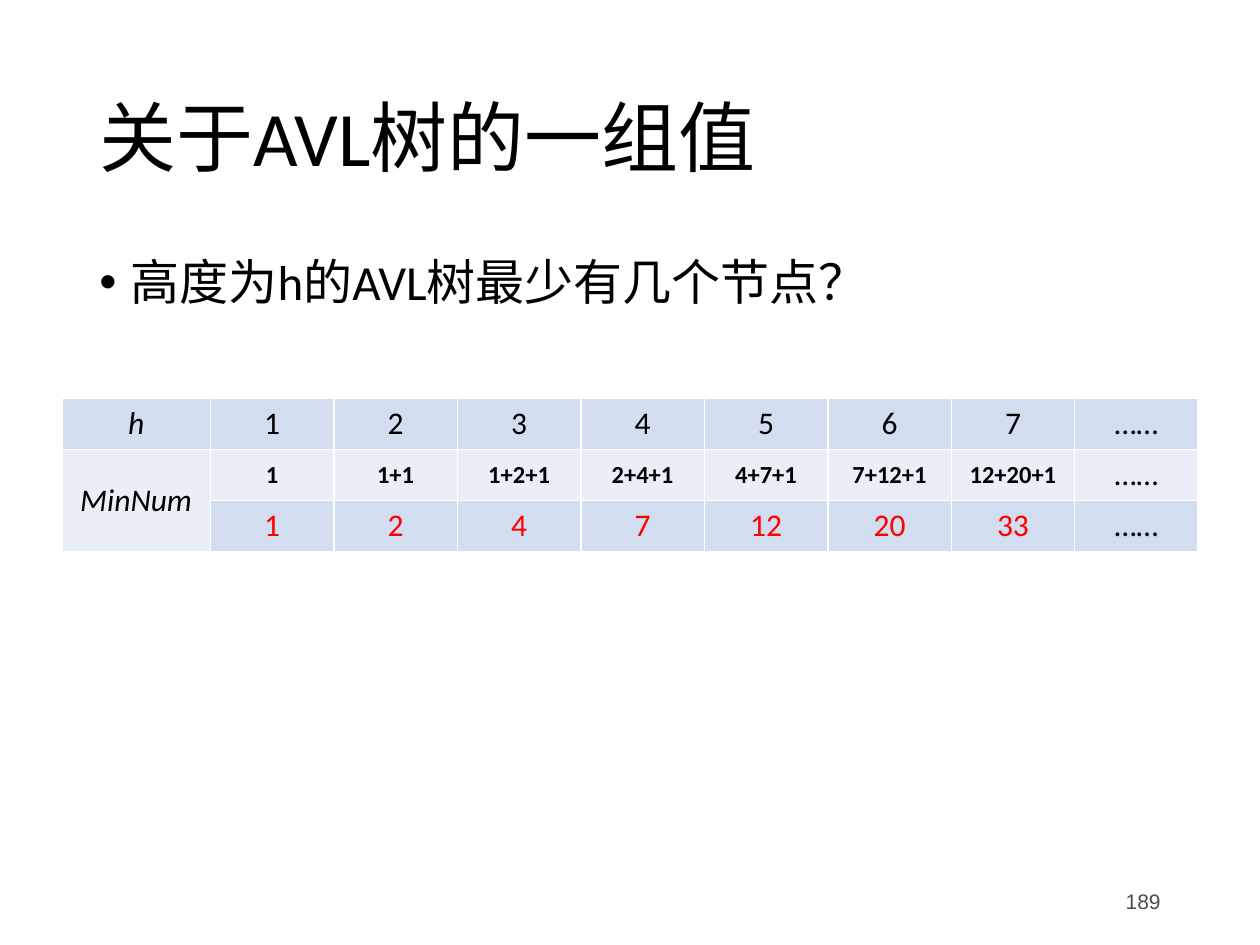
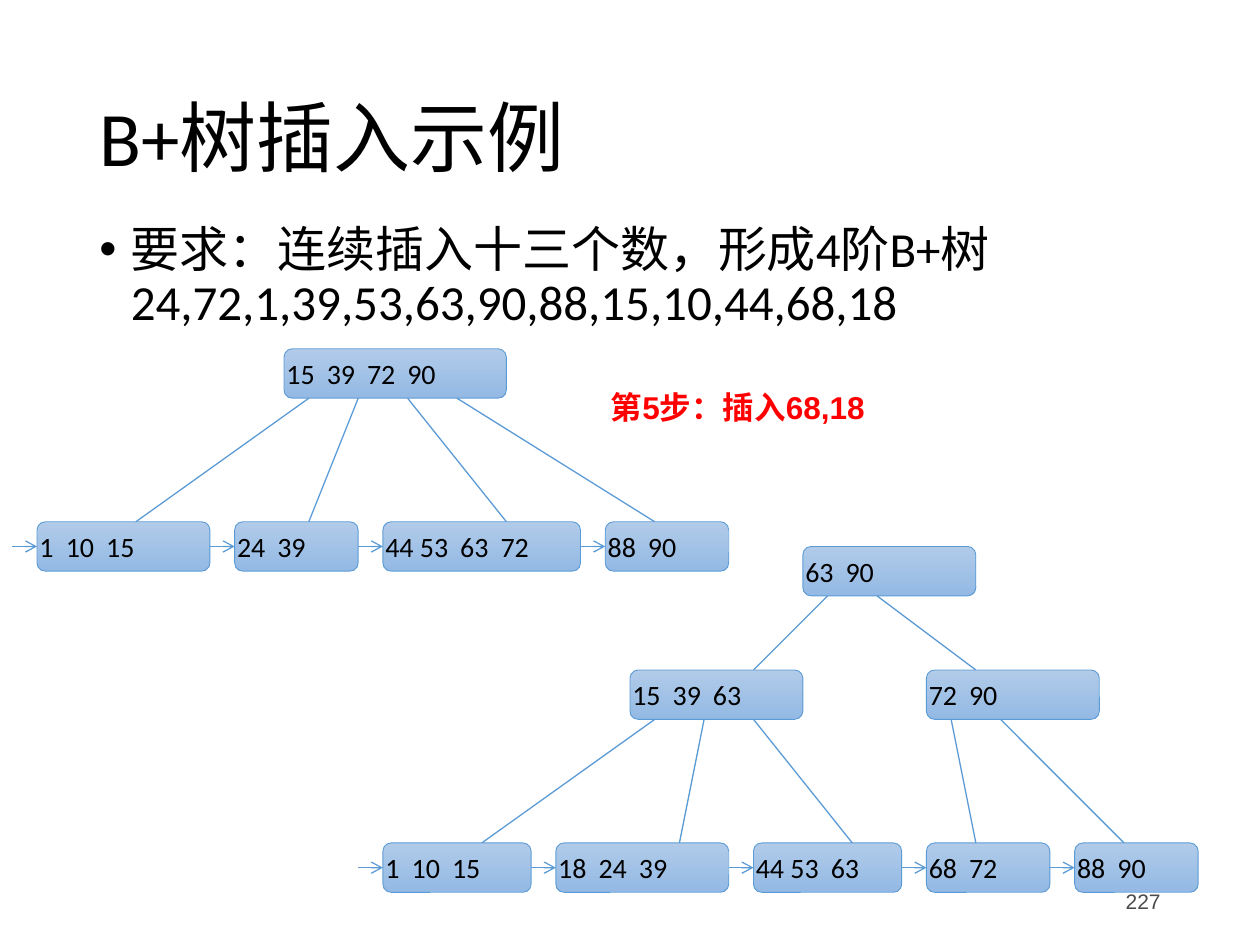
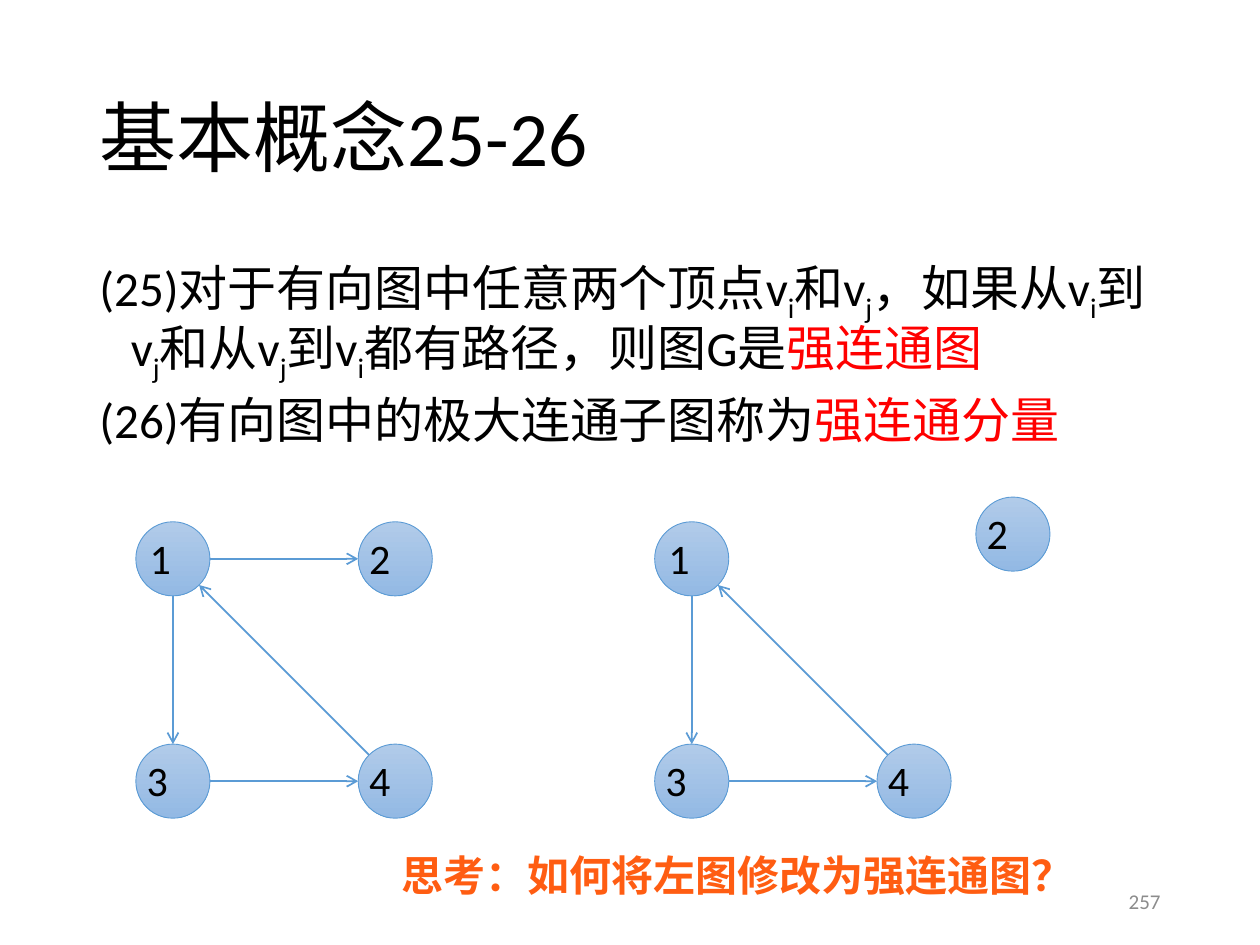
import math
from pptx import Presentation, util as u
from pptx.dml.color import RGBColor
from pptx.enum import shapes, text
from pptx.oxml.ns import qn
from lxml import etree

HUE = {
    "ink": "000000", "red": "FF0000", "ask": "FF5D12", "line": "5B9BD5",
    "top": "B1CBE9", "low": "93B9E4", "dark": "D2DEEF", "pale": "EAEFF7",
    "page": "4B4B4B", "soft": "8C8C8C",
}
WIDE, HIGH = 10, 7.5
UNIT = WIDE / 51          # grid step of the diagrams
LEFT, TOP = 0.5, 0.12     # grid origin, in steps
DIGIT = 0.11              # width of a 16 pt digit
BOX, DOT = 2, 3           # height of a tree node, width of a graph node
MID = text.MSO_ANCHOR.MIDDLE
MID_P, RIGHT = text.PP_ALIGN.CENTER, text.PP_ALIGN.RIGHT


def rgb(name):
    return RGBColor.from_string(HUE[name])


def grid(col, row):
    return u.Inches((col + LEFT) * UNIT), u.Inches((row + TOP) * UNIT)


def style(par, size, hue="ink", face="Calibri", bold=False, align=None):
    font = par.font
    font.size, font.name, font.bold = u.Pt(size), face, bold
    font.color.rgb = rgb(hue)
    if align is not None:
        par.alignment = align


# Text
def write(slide, spot, words, size, anchor=None, wrap=True, **look):
    frame = slide.shapes.add_textbox(*map(u.Inches, spot)).text_frame
    frame.word_wrap = wrap
    if anchor is not None:
        frame.vertical_anchor = anchor
    par = frame.paragraphs[0]
    par.text = words
    style(par, size, **look)
    return par


def start(deck, title, page, hue="page", face="Arial"):
    slide = deck.slides.add_slide(deck.slide_layouts[6])
    par = write(slide, (0.69, 0.4, 8.62, 1.45), title, 44, MID)
    par.line_spacing = 0.9
    write(slide, (7.06, 6.95, 2.25, 0.4), page, 12, MID,
          hue=hue, face=face, align=RIGHT)
    return slide


def body(slide, top, items, bullet=None):
    """Fill the body; in an item, | parts runs, _ lowers one, * reddens one."""
    spot = map(u.Inches, (0.69, top, 8.62, 4.76))
    frame = slide.shapes.add_textbox(*spot).text_frame
    frame.word_wrap = True
    for n, item in enumerate(items):
        par = frame.add_paragraph() if n else frame.paragraphs[0]
        par.line_spacing = 0.9
        if n:
            par.space_before = u.Pt(10)
        props = par._p.get_or_add_pPr()
        props.set("marL", str(u.Inches(0.25)))
        props.set("indent", str(u.Inches(-0.25)))
        if bullet:
            etree.SubElement(props, qn("a:buFont")).set("typeface", "Arial")
            etree.SubElement(props, qn("a:buChar")).set("char", bullet)
        style(par, 28)
        for part in item.split("|"):
            run = par.add_run()
            run.text = part.lstrip("_*")
            if part[0] == "_":
                run._r.get_or_add_rPr().set("baseline", "-25000")
            elif part[0] == "*":
                run.font.color.rgb = rgb("red")


# Diagram parts
def node(slide, kind, col, row, wide, high):
    shape = slide.shapes.add_shape(
        kind, *grid(col, row), u.Inches(wide * UNIT), u.Inches(high * UNIT))
    shape.shadow.inherit = False
    shape.fill.gradient()
    shape.fill.gradient_angle = 270
    for stop, name in zip(shape.fill.gradient_stops, ("top", "low")):
        stop.color.rgb = rgb(name)
    shape.line.color.rgb = rgb("line")
    shape.line.width = u.Pt(0.5)
    frame = shape.text_frame
    frame.margin_left = frame.margin_top = frame.margin_bottom = 0
    frame.margin_right = u.Inches(0.2)
    return frame


def link(slide, tail, tip, width=0.75, arrow=False):
    line = slide.shapes.add_connector(
        shapes.MSO_CONNECTOR.STRAIGHT, *grid(*tail), *grid(*tip))
    line.line.color.rgb = rgb("line")
    line.line.width = u.Pt(width)
    if arrow:
        etree.SubElement(line.line._get_or_add_ln(),
                         qn("a:tailEnd")).set("type", "arrow")
    etree.SubElement(line._element.spPr, qn("a:effectLst"))


def keys(slide, col, row, wide, names, kids=(), drop=0):
    """Draw a tree node, with a line from under each key to a child column."""
    frame = node(slide, shapes.MSO_SHAPE.ROUNDED_RECTANGLE,
                 col, row, wide, BOX)
    frame.vertical_anchor = MID
    par = frame.paragraphs[0]
    par.text = "\t".join(names)
    tabs = etree.SubElement(par._p.get_or_add_pPr(), qn("a:tabLst"))
    place = 0
    for name in names[:-1]:
        place += DIGIT * (len(name) - name.count(" ") / 2) + 0.1
        stop = etree.SubElement(tabs, qn("a:tab"))
        stop.set("pos", str(u.Inches(place)))
        stop.set("algn", "l")
    style(par, 16, align=text.PP_ALIGN.LEFT)
    for n, kid in enumerate(kids):
        link(slide, (col + 1 + 2 * n, row + BOX), (kid, row + drop))


def leaves(slide, row, items):
    for col, wide, names in items:
        keys(slide, col, row, wide, names)
        link(slide, (col - 1, row + 1), (col, row + 1), arrow=True)


def graph(slide, spots, edges):
    for name, (col, row) in spots.items():
        par = node(slide, shapes.MSO_SHAPE.OVAL, col, row, DOT, DOT)
        par.vertical_anchor = text.MSO_ANCHOR.TOP
        par = par.paragraphs[0]
        par.text = name
        style(par, 24, align=MID_P if name == "1" else text.PP_ALIGN.LEFT)
    half = DOT / 2
    for tail, tip in edges:
        (ax, ay), (bx, by) = spots[tail], spots[tip]
        turn = math.atan2(by - ay, bx - ax)
        dx, dy = half * math.cos(turn), half * math.sin(turn)
        link(slide, (ax + half + dx, ay + half + dy),
             (bx + half - dx, by + half - dy), 1, True)


# Table
def counts(slide):
    sums = ["1", "1+1", "1+2+1", "2+4+1", "4+7+1", "7+12+1", "12+20+1"]
    least = ["1", "2", "4", "7", "12", "20", "33"]
    rows = [["h", *map(str, range(1, 8)), "……"],
            ["MinNum", *sums, "……"], ["", *least, "……"]]
    spot = map(u.Inches, (0.49, 3.16, 9.06, 1.22))
    table = slide.shapes.add_table(3, 9, *spot).table
    table.first_row = table.horz_banding = False
    for n, col in enumerate(table.columns):
        col.width = u.Inches(0.98 if n else 1.18)
    for r, row in enumerate(rows):
        for c, word in enumerate(row):
            cell = table.cell(r, c)
            cell.fill.solid()
            cell.fill.fore_color.rgb = rgb("pale" if r == 1 else "dark")
            cell.vertical_anchor = MID
            par = cell.text_frame.paragraphs[0]
            par.text = word
            inner = 0 < c < 8
            small = inner and r == 1
            style(par, 14 if small else 18, bold=small, align=MID_P,
                  hue="red" if inner and r == 2 else "ink")
            par.font.italic = c == 0
    table.cell(1, 0).merge(table.cell(2, 0))


def main():
    deck = Presentation()
    deck.slide_width, deck.slide_height = u.Inches(WIDE), u.Inches(HIGH)

    # Smallest AVL trees
    slide = start(deck, "关于AVL树的一组值", "189")
    body(slide, 2, ["高度为h的AVL树最少有几个节点？"], "•")
    counts(slide)

    # B+ tree before and after the step
    slide = start(deck, "B+树插入示例", "227")
    body(slide, 1.74, ["要求：连续插入十三个数，形成4阶B+树"
                       "24,72,1,39,53,63,90,88,15,10,44,68,18"], "•")
    write(slide, (4.75, 3.03, 3.73, 0.4), "第5步：插入68,18", 18,
          hue="red", face="Arial", bold=True)
    keys(slide, 11, 14, 9, ["15", "39", "72", "90"], (5, 12, 20, 26), 7)
    leaves(slide, 21, [
        (1, 7, ["1", "10", "15"]), (9, 5, ["24", "39"]),
        (15, 8, ["44 53", "63", "72"]), (24, 5, ["88", "90"])])
    keys(slide, 32, 22, 7, ["63", "90"], (30, 39), 5)
    keys(slide, 25, 27, 7, ["15", "39", "63"], (19, 27, 34), 7)
    keys(slide, 37, 27, 7, ["72", "90"], (39, 45), 7)
    leaves(slide, 34, [
        (15, 6, ["1", "10", "15"]), (22, 7, ["18", "24", "39"]),
        (30, 6, ["44 53", "63"]), (37, 5, ["68", "72"]),
        (43, 5, ["88", "90"])])

    # Strongly connected graphs
    slide = start(deck, "基本概念25-26", "257", "soft", "Calibri")
    body(slide, 2, [
        "(25)对于有向图中任意两个顶点v|_i|和v|_j|，如果从v|_i|到v|_j|和从v|_j"
        "|到v|_i|都有路径，则图G是|*强连通图",
        "(26)有向图中的极大连通子图称为|*强连通分量"])
    ring = [("1", "3"), ("3", "4"), ("4", "1")]
    graph(slide, {"1": (5, 21), "2": (14, 21), "3": (5, 30), "4": (14, 30)},
          [("1", "2"), *ring])
    graph(slide, {"1": (26, 21), "2": (39, 20), "3": (26, 30), "4": (35, 30)},
          ring)
    write(slide, (3.04, 6.69, 5.62, 0.5), "思考：如何将左图修改为强连通图？",
          24, wrap=False, hue="ask", face="Arial", bold=True, align=MID_P)

    deck.save("out.pptx")


if __name__ == "__main__":
    main()
